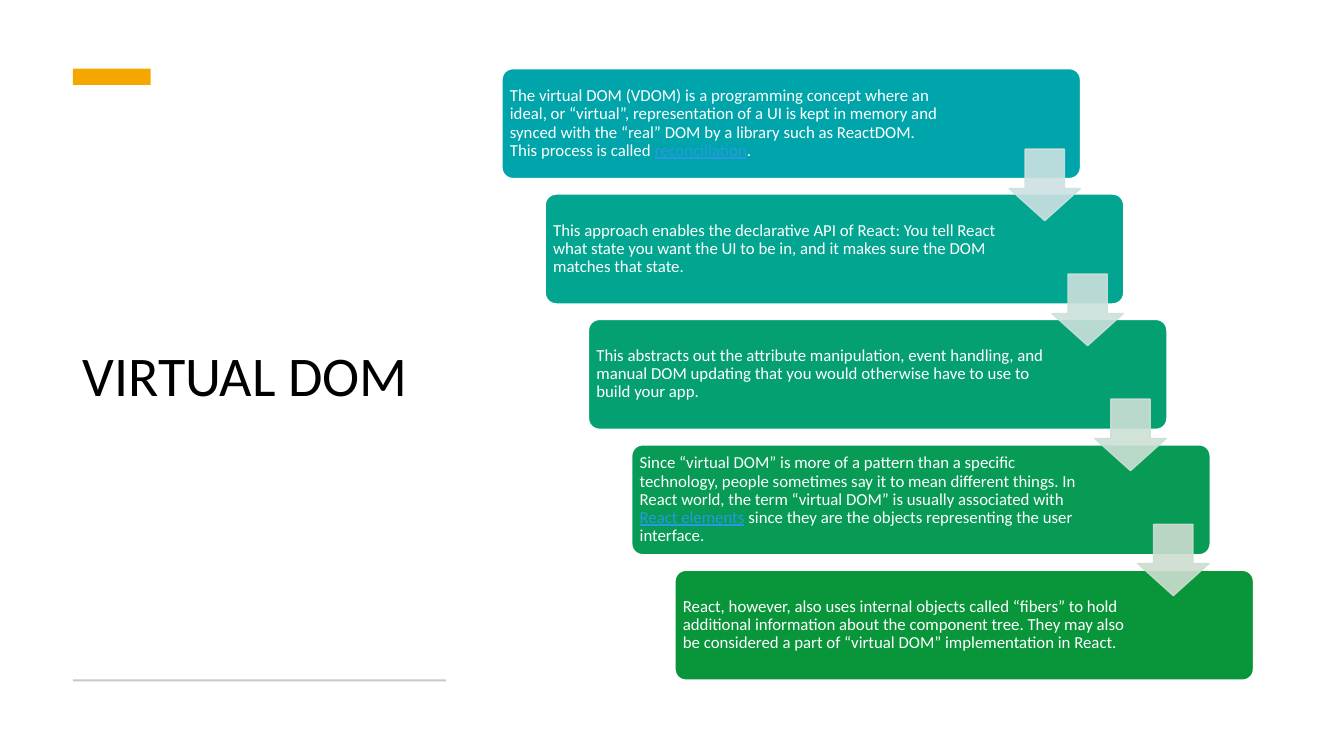
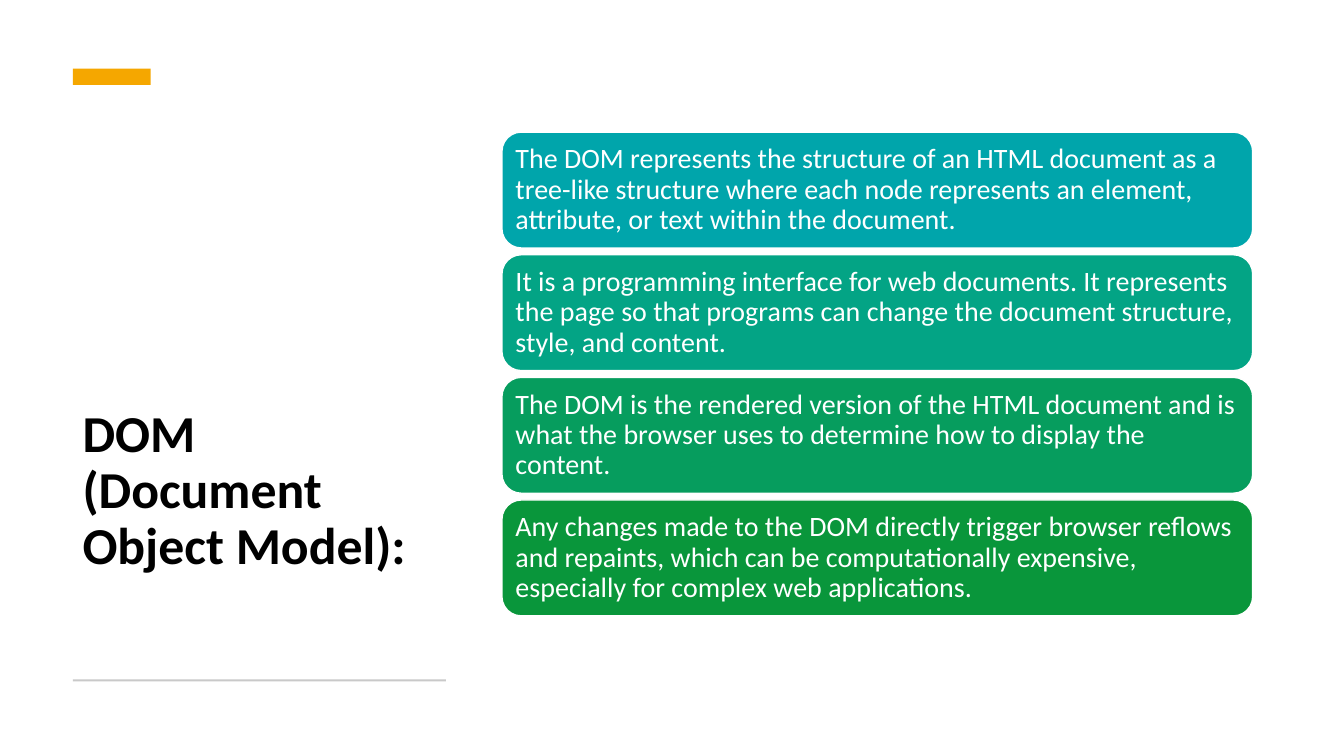
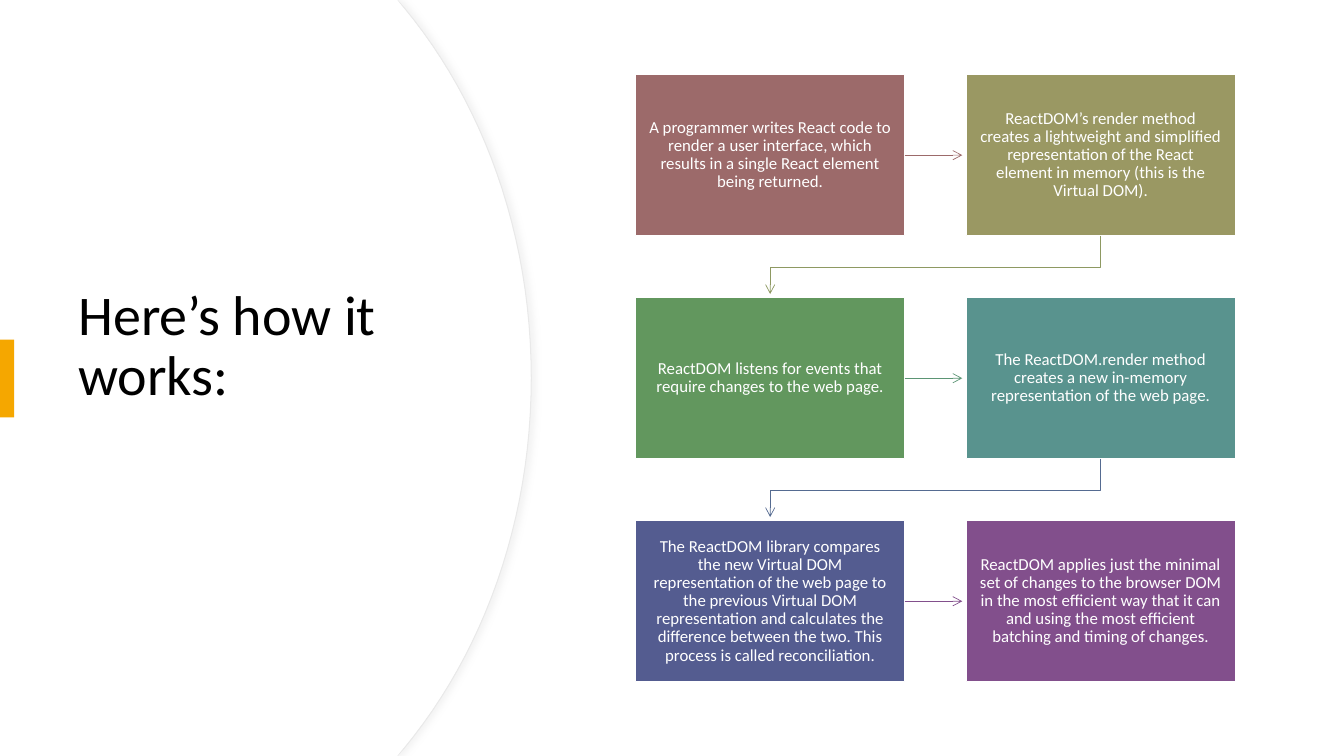
from lxml.etree import SubElement
from pptx import Presentation
from pptx.dml.color import RGBColor
from pptx.enum.shapes import MSO_CONNECTOR, MSO_SHAPE
from pptx.enum.text import MSO_ANCHOR, MSO_AUTO_SIZE, PP_ALIGN
from pptx.oxml.ns import qn
from pptx.util import Cm, Pt

FONT = "Calibri"
WHITE, BLACK, AMBER, GREY, EDGE, LINK = "FFFFFF", "000000", "F5A700", "C9C9C9", "E9E9E9", "2998E3"
HIGH = 19.05
LEFT = 12.65
TITLE = (1.83, 2.67, 9.4, 13.74)

STEPS = [
    ("00A5AB", ["The virtual DOM (VDOM) is a programming concept where an ideal, or “virtual”, representation of a UI is kept in memory and synced with the “real” DOM by a library such as ReactDOM. This process is called ", "reconciliation", "."]),
    ("02A690", ["This approach enables the declarative API of React: You tell React what state you want the UI to be in, and it makes sure the DOM matches that state."]),
    ("05A071", ["This abstracts out the attribute manipulation, event handling, and manual DOM updating that you would otherwise have to use to build your app."]),
    ("079B55", ["Since “virtual DOM” is more of a pattern than a specific technology, people sometimes say it to mean different things. In React world, the term “virtual DOM” is usually associated with ", "React elements", " since they are the objects representing the user interface."]),
    ("09963B", ["React, however, also uses internal objects called “fibers” to hold additional information about the component tree. They may also be considered a part of “virtual DOM” implementation in React."]),
]
ARROWS = ["CCE1E2", "CCE0DC", "CCDFD5", "CCDDCF"]

FACTS = [
    ("00A5AB", "The DOM represents the structure of an HTML document as a tree-like structure where each node represents an element, attribute, or text within the document."),
    ("03A485", "It is a programming interface for web documents. It represents the page so that programs can change the document structure, style, and content."),
    ("069D5E", "The DOM is the rendered version of the HTML document and is what the browser uses to determine how to display the content."),
    ("09963B", "Any changes made to the DOM directly trigger browser reflows and repaints, which can be computationally expensive, especially for complex web applications."),
]

FLOW = [
    ("9C6A6A", "A programmer writes React code to render a user interface, which results in a single React element being returned."),
    ("9A9863", "ReactDOM’s render method creates a lightweight and simplified representation of the React element in memory (this is the Virtual DOM)."),
    ("62975E", "ReactDOM listens for events that require changes to the web page."),
    ("59938E", "The ReactDOM.render method creates a new in-memory representation of the web page."),
    ("545C90", "The ReactDOM library compares the new Virtual DOM representation of the web page to the previous Virtual DOM representation and calculates the difference between the two. This process is called reconciliation."),
    ("824F8C", "ReactDOM applies just the minimal set of changes to the browser DOM in the most efficient way that it can and using the most efficient batching and timing of changes."),
]
LINKS = ["9C6A6A", "8E9962", "5B9574", "556B91", "824F8C"]


def tint(hue):
    return RGBColor.from_string(hue)


def apply(thing, values):
    for name, value in values.items():
        setattr(thing, name, value)


def paint(shape, fill=None, line=None, width=1):
    shape.shadow.inherit = False
    if fill:
        shape.fill.solid()
        shape.fill.fore_color.rgb = tint(fill)
    else:
        shape.fill.background()
    if line:
        stroke(shape, line, width)
    else:
        shape.line.fill.background()


def stroke(shape, hue, width):
    shape.line.color.rgb = tint(hue)
    shape.line.width = Pt(width)


def add(slide, kind, place, fill, line=None):
    shape = slide.shapes.add_shape(kind, *map(Cm, place))
    paint(shape, fill, line)
    return shape


def fade(shape, share):
    for node in shape._element.spPr.iter(qn("a:srgbClr")):
        SubElement(node, qn("a:alpha"), val=str(share * 1000))


def write(shape, parts, size, inset, hue=WHITE, bold=False, align=PP_ALIGN.LEFT):
    frame = shape.text_frame
    sides = ("margin_left", "margin_top", "margin_right", "margin_bottom")
    apply(frame, dict(zip(sides, map(Cm, inset))))
    apply(frame, {"word_wrap": True, "auto_size": MSO_AUTO_SIZE.NONE,
                  "vertical_anchor": MSO_ANCHOR.MIDDLE})
    para = frame.paragraphs[0]
    apply(para, {"alignment": align, "line_spacing": 0.9})
    for i, part in enumerate(parts):
        run = para.add_run()
        run.text = part
        link = i % 2 == 1
        apply(run.font, {"name": FONT, "size": Pt(size), "bold": bold, "underline": link})
        run.font.color.rgb = tint(LINK if link else hue)


def start(deck, text, place=TITLE, size=40, bold=False, top=0.13, base=0.13):
    slide = deck.slides.add_slide(deck.slide_layouts[5])
    title = slide.shapes.title
    apply(title, dict(zip(("left", "top", "width", "height"), map(Cm, place))))
    write(title, [text], size, (0.25, top, 0.25, base), BLACK, bold)
    return slide


def trim(slide):
    add(slide, MSO_SHAPE.RECTANGLE, (1.84, 1.73, 1.96, 0.41), AMBER)
    add(slide, MSO_SHAPE.RECTANGLE, (1.84, 17.12, 9.4, 0.05), GREY)


def trace(slide, points, close):
    spots = [(Cm(x), Cm(y)) for x, y in points]
    pen = slide.shapes.build_freeform(*spots[0])
    pen.add_line_segments(spots[1:], close=close)
    return pen.convert_to_shape()


def curve(slide, shift, line):
    ends = [(10.19, 0.2), (12.17, 2.59), (13.39, 5.89), (13.39, HIGH / 2)]
    half = []
    for i in range(25):
        t = i / 24
        rates = ((1 - t) ** 3, 3 * t * (1 - t) ** 2, 3 * t * t * (1 - t), t ** 3)
        half.append((sum(r * x for r, (x, y) in zip(rates, ends)) - shift,
                     sum(r * y for r, (x, y) in zip(rates, ends))))
    upper = [(0, 0), (10.01, 0)] + half
    lower = [(x, HIGH - y) for x, y in reversed(upper[:-1])]
    shape = trace(slide, upper + lower, True)
    paint(shape, WHITE, line, 0.75)
    return shape


def shade(shape):
    glow = SubElement(shape._element.spPr.find(qn("a:effectLst")), qn("a:outerShdw"),
                      blurRad=str(Pt(4)), dist=str(Pt(3)), dir="0", algn="l", rotWithShape="0")
    node = SubElement(glow, qn("a:srgbClr"), val="D9D9D9")
    SubElement(node, qn("a:alpha"), val="30000")


def point(shape):
    SubElement(shape.line._get_or_add_ln(), qn("a:tailEnd"), type="arrow")


def arrow(slide, x, y, end, hue):
    line = slide.shapes.add_connector(MSO_CONNECTOR.STRAIGHT, Cm(x), Cm(y), Cm(end), Cm(y))
    stroke(line, hue, 0.5)
    point(line)
    SubElement(line._element.spPr, qn("a:effectLst"))


def elbow(slide, x, y, end, hue):
    bend = y + 0.79
    shape = trace(slide, [(x, y), (x, bend), (end, bend), (end, y + 1.47)], False)
    paint(shape, None, hue, 0.5)
    point(shape)


def stairs(deck):
    slide = start(deck, "VIRTUAL DOM")
    trim(slide)
    for i, (hue, parts) in enumerate(STEPS):
        place = (LEFT + 1.09 * i, 1.73 + 3.16 * i, 14.58, 2.77)
        card = add(slide, MSO_SHAPE.ROUNDED_RECTANGLE, place, hue, WHITE)
        card.adjustments[0] = 0.1
        write(card, parts, 12, (0.12, 0.12, 3.02 if i else 3.3, 0.12))
    for i, hue in enumerate(ARROWS):
        place = (25.43 + 1.08 * i, 3.76 + 3.15 * i, 1.8, 1.8)
        mark = add(slide, MSO_SHAPE.DOWN_ARROW, place, hue, hue)
        mark.adjustments[0] = 0.55
        mark.adjustments[1] = 0.45
        fade(mark, 90)


def stack(deck):
    slide = start(deck, "DOM (Document Object Model):", size=37, bold=True, top=5.84)
    trim(slide)
    for i, (hue, text) in enumerate(FACTS):
        place = (LEFT, 3.33 + 3.09 * i, 18.92, 2.92)
        card = add(slide, MSO_SHAPE.ROUNDED_RECTANGLE, place, hue, WHITE)
        write(card, [text], 20, (0.2,) * 4)


def flow(deck):
    slide = start(deck, "Here’s how it works:", (1.73, 3.23, 10.01, 12.57), base=1.65)
    rim = curve(slide, 0, EDGE)
    shade(rim)
    face = curve(slide, 0.03, None)
    tree = slide.shapes._spTree
    for shape in (face, rim):
        tree.remove(shape._element)
        tree.insert(2, shape._element)
    add(slide, MSO_SHAPE.RECTANGLE, (0, 8.56, 0.36, 1.96), AMBER)
    left, top, wide, tall, across, down = 16.02, 1.88, 6.78, 4.06, 8.33, 5.62
    for i, (hue, text) in enumerate(FLOW):
        row, col = divmod(i, 2)
        x, y = left + across * col, top + down * row
        card = add(slide, MSO_SHAPE.RECTANGLE, (x, y, wide, tall), hue, WHITE)
        write(card, [text], 12, (0.33, 0.36, 0.33, 0.36), align=PP_ALIGN.CENTER)
    for i, hue in enumerate(LINKS):
        row, col = divmod(i, 2)
        y = top + down * row
        if col:
            elbow(slide, left + across + wide / 2, y + tall, left + wide / 2, hue)
        else:
            arrow(slide, left + wide, y + tall / 2, left + across - 0.1, hue)


def main():
    deck = Presentation()
    apply(deck, {"slide_width": Cm(33.87), "slide_height": Cm(HIGH)})
    stairs(deck)
    stack(deck)
    flow(deck)
    deck.save("out.pptx")


if __name__ == "__main__":
    main()
